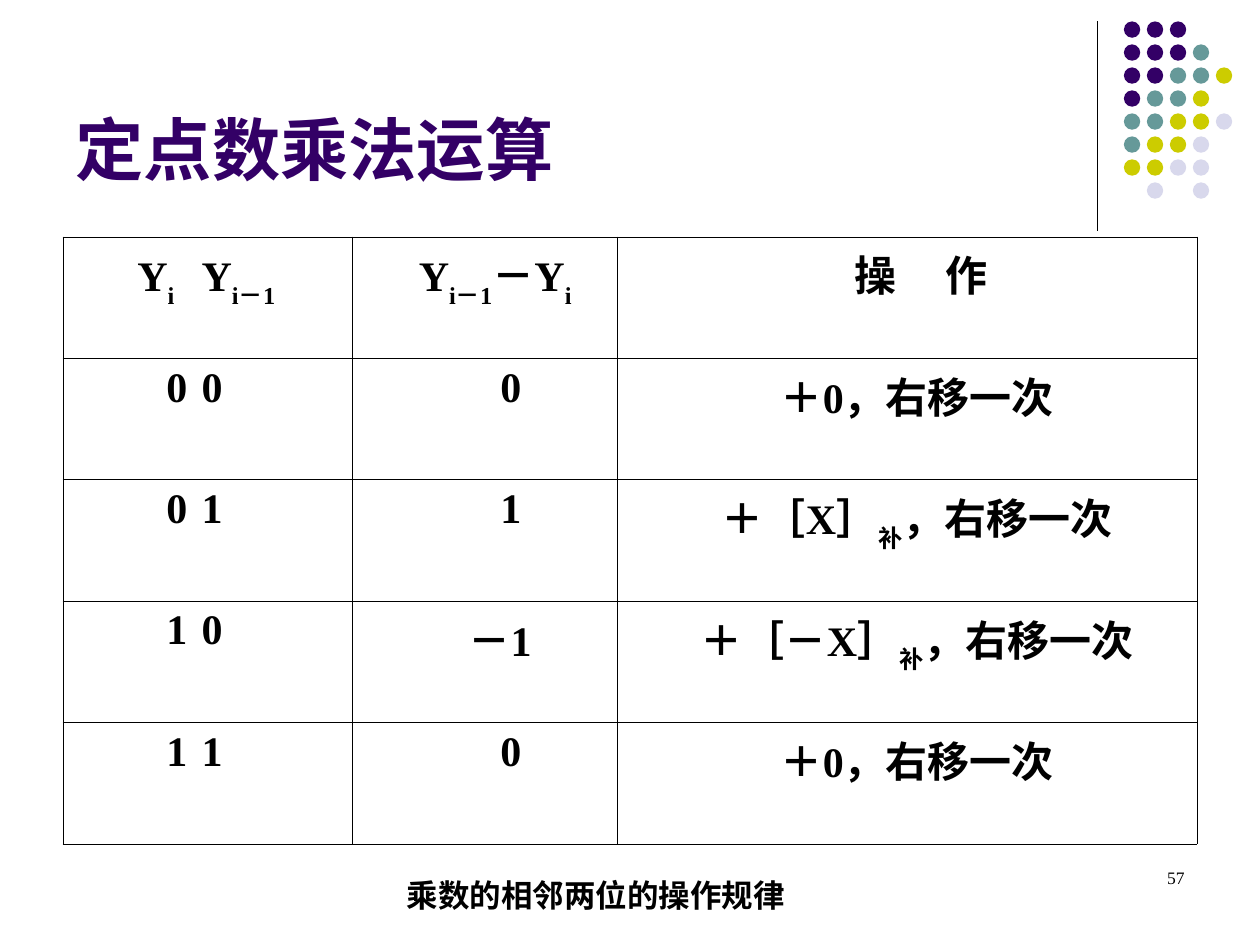
from dataclasses import dataclass

from lxml import etree
from pptx import Presentation
from pptx.dml.color import RGBColor
from pptx.enum.shapes import MSO_CONNECTOR, MSO_SHAPE
from pptx.enum.text import MSO_ANCHOR, PP_ALIGN
from pptx.oxml.ns import qn
from pptx.util import Inches, Pt

LEFT, CENTER, RIGHT = PP_ALIGN.LEFT, PP_ALIGN.CENTER, PP_ALIGN.RIGHT
TOP, MIDDLE, BOTTOM = MSO_ANCHOR.TOP, MSO_ANCHOR.MIDDLE, MSO_ANCHOR.BOTTOM
STRAIGHT = MSO_CONNECTOR.STRAIGHT
OVAL = MSO_SHAPE.OVAL
TITLE_ONLY = 5
GRID = Inches(1)


@dataclass(frozen=True)
class Theme:
    heading_font: str = "Arial"
    body_font: str = "Times New Roman"
    ink: str = "000000"
    purple: str = "330066"
    teal: str = "669999"
    olive: str = "CCCC00"
    lilac: str = "D8D8EC"
    title_size: float = 39
    table_size: float = 24
    caption_size: float = 18
    number_size: float = 10
    rule_width: float = 0.75
    border_width: float = 0.45


@dataclass(frozen=True)
class Box:
    left: float
    top: float
    width: float
    height: float

    def frame(self):
        return [units(side) for side in (self.left, self.top, self.width, self.height)]


@dataclass(frozen=True)
class Entry:
    runs: tuple
    margin: float = 0
    indent: float = 0
    tab: float = 0


THEME = Theme()
DOT_ROWS = ("PPP", "PPPT", "PPTTO", "PTTO", "TTOOL", "TOOL", "OOLL", " L L")
DOT_COLORS = {"P": THEME.purple, "T": THEME.teal, "O": THEME.olive, "L": THEME.lilac}
COLUMN_WIDTHS = (2.3, 2.1, 4.6)


def bits(first, second):
    return Entry((f"{first}\t{second}",), indent=0.72, tab=1.38)


def difference(text, margin=0.41):
    return Entry((text,), margin=margin)


def operation(*runs):
    return Entry(runs, margin=0.16)


TABLE_ROWS = (
    (
        Entry(("Y", "i", "\tY", "i－1"), indent=0.49, tab=1.1),
        Entry(("Y", "i－1", "－Y", "i"), margin=0.16),
        Entry(("操\t作",), indent=1.78, tab=2.72),
    ),
    (bits(0, 0), difference("0"), operation("＋0，右移一次")),
    (bits(0, 1), difference("1"), operation("＋［X］", "补", "，右移一次")),
    (bits(1, 0), difference("－1", 0.24), operation("＋［－X］", "补", "，右移一次")),
    (bits(1, 1), difference("0"), operation("＋0，右移一次")),
)


def units(length):
    return round(length * GRID)


def style_font(paragraph, name, size, color, bold):
    font = paragraph.font
    font.name, font.size, font.bold = name, Pt(size), bold
    font.color.rgb = RGBColor.from_string(color)


def write_line(shape, text, name, size, color, bold, alignment, anchor, wrap=True):
    frame = shape.text_frame
    frame.word_wrap = wrap
    frame.vertical_anchor = anchor
    paragraph = frame.paragraphs[0]
    paragraph.text = text
    paragraph.alignment = alignment
    style_font(paragraph, name, size, color, bold)


def add_title(slide, box):
    title = slide.shapes.title
    title.left, title.top, title.width, title.height = box.frame()
    write_line(title, "定点数乘法运算", THEME.heading_font, THEME.title_size,
               THEME.purple, True, LEFT, BOTTOM)


def add_dot_ornament(slide, box):
    left, top, width, height = box.frame()
    rule = slide.shapes.add_connector(STRAIGHT, left, top, left, top + height)
    rule.line.color.rgb = RGBColor.from_string(THEME.ink)
    rule.line.width = Pt(THEME.rule_width)
    etree.SubElement(rule._element.spPr, qn("a:effectLst"))

    diameter = units(0.13)
    first_left = left + units(0.21)
    pitch = (left + width - diameter - first_left) / 4
    dots = slide.shapes.add_group_shape()
    for row, codes in enumerate(DOT_ROWS):
        for column, code in enumerate(codes):
            if code == " ":
                continue
            dot = dots.shapes.add_shape(OVAL, round(first_left + column * pitch),
                                        round(top + row * pitch), diameter, diameter)
            dot.shadow.inherit = False
            dot.fill.solid()
            dot.fill.fore_color.rgb = RGBColor.from_string(DOT_COLORS[code])
            dot.line.fill.background()


def format_cell(cell):
    properties = cell._tc.get_or_add_tcPr()
    for side in ("a:lnL", "a:lnR", "a:lnT", "a:lnB"):
        border = etree.SubElement(properties, qn(side), w=str(Pt(THEME.border_width)))
        fill = etree.SubElement(border, qn("a:solidFill"))
        etree.SubElement(fill, qn("a:srgbClr"), val=THEME.ink)
    cell.fill.background()
    cell.vertical_anchor = TOP


def write_cell(cell, entry):
    paragraph = cell.text_frame.paragraphs[0]
    paragraph.alignment = LEFT if entry.tab else CENTER
    properties = paragraph._p.get_or_add_pPr()
    properties.set("marL", str(units(entry.margin)))
    properties.set("indent", str(units(entry.indent)))
    if entry.tab:
        tabs = etree.SubElement(properties, qn("a:tabLst"))
        etree.SubElement(tabs, qn("a:tab"), pos=str(units(entry.tab)), algn="l")
    style_font(paragraph, THEME.body_font, THEME.table_size, THEME.ink, True)
    for position, text in enumerate(entry.runs):
        run = paragraph.add_run()
        run.text = text
        if position % 2:
            run.font._element.set("baseline", "-30000")


def add_rule_table(slide, box):
    graphic = slide.shapes.add_table(len(TABLE_ROWS), len(COLUMN_WIDTHS), *box.frame())
    table = graphic.table
    table.first_row = table.horz_banding = False
    for column, share in zip(table.columns, COLUMN_WIDTHS):
        column.width = units(box.width * share / sum(COLUMN_WIDTHS))
    for row, entries in zip(table.rows, TABLE_ROWS):
        row.height = units(box.height / len(TABLE_ROWS))
        for cell, entry in zip(row.cells, entries):
            format_cell(cell)
            write_cell(cell, entry)


def add_caption(slide, box):
    caption = slide.shapes.add_textbox(*box.frame())
    write_line(caption, "乘数的相邻两位的操作规律", THEME.heading_font,
               THEME.caption_size, THEME.ink, True, LEFT, MIDDLE, wrap=False)


def add_page_number(slide, box):
    number = slide.shapes.add_textbox(*box.frame())
    write_line(number, "57", THEME.body_font, THEME.number_size,
               THEME.ink, False, RIGHT, TOP)


def main():
    presentation = Presentation()
    presentation.slide_width, presentation.slide_height = units(10), units(7.5)
    slide = presentation.slides.add_slide(presentation.slide_layouts[TITLE_ONLY])
    add_dot_ornament(slide, Box(8.71, 0.17, 1.07, 1.66))
    add_title(slide, Box(0.5, 0.13, 8.25, 1.42))
    add_rule_table(slide, Box(0.5, 1.88, 9, 4.82))
    add_caption(slide, Box(3.13, 6.9, 3.25, 0.4))
    add_page_number(slide, Box(7.17, 6.83, 2.33, 0.5))
    presentation.save("out.pptx")


if __name__ == "__main__":
    main()
